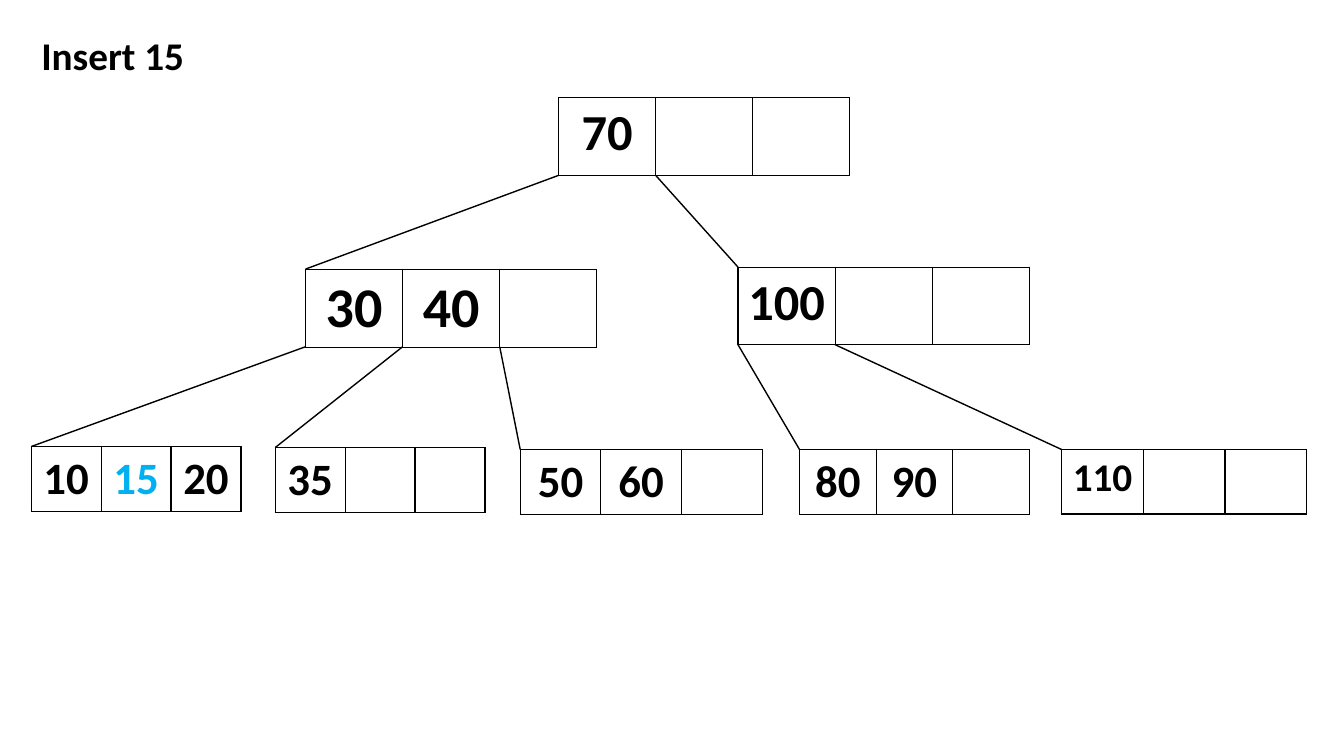
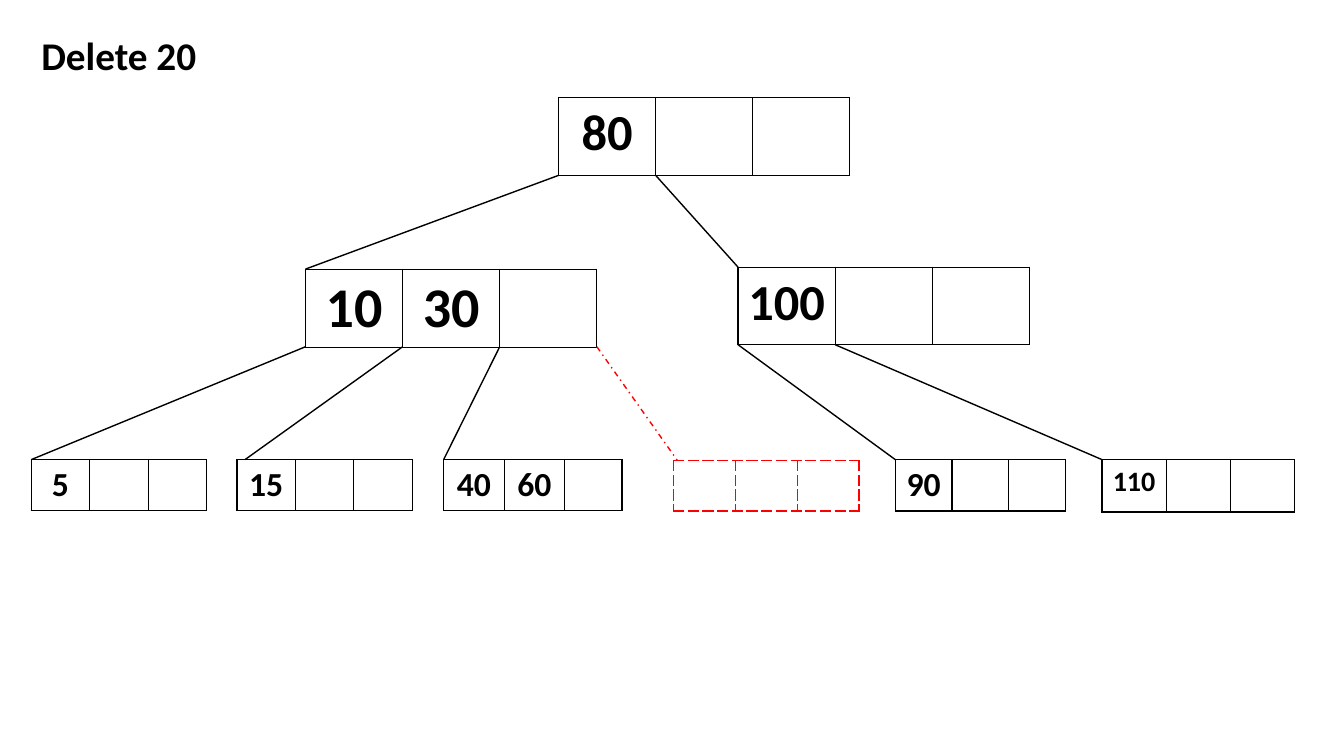
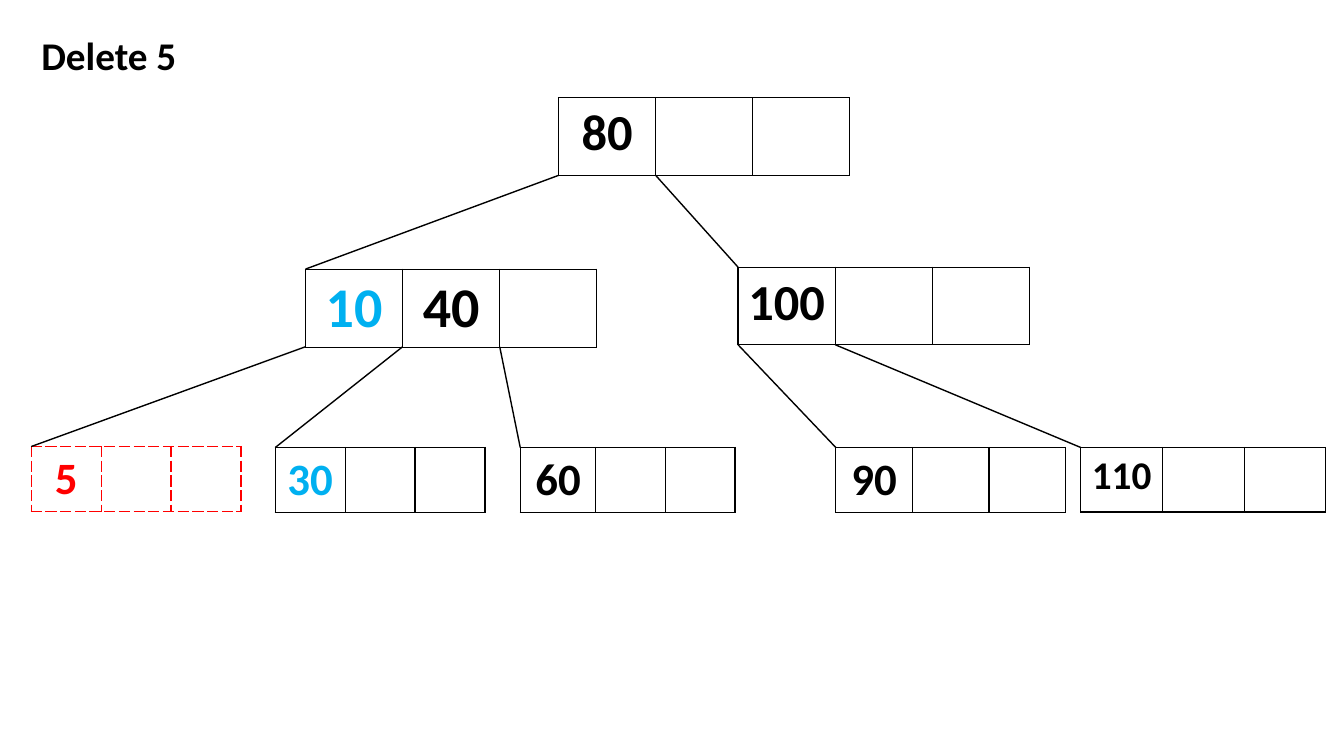
import dataclasses

import pptx
import pptx.dml.color
import pptx.enum.dml
import pptx.enum.shapes
import pptx.enum.text
import pptx.oxml
import pptx.oxml.ns
import pptx.util
from pptx.util import Inches

# Shared style
BLACK = pptx.dml.color.RGBColor(0x00, 0x00, 0x00)
WHITE = pptx.dml.color.RGBColor(0xFF, 0xFF, 0xFF)
BLUE = pptx.dml.color.RGBColor(0x00, 0xB0, 0xF0)
RED = pptx.dml.color.RGBColor(0xFF, 0x00, 0x00)
FONT = "Calibri"
LINE_WIDTH = pptx.util.Pt(1)
TITLE_BOX = (0.31, 0.26, 1.8, 0.57)
TITLE_ONLY_LAYOUT = 5
CELLS_PER_NODE = 3


@dataclasses.dataclass
class Node:
    """A tree node: a row of three key cells in a box given in inches."""
    left: float
    top: float
    width: float
    height: float
    keys: tuple = ()
    size: int = 32
    key_colors: dict = dataclasses.field(default_factory=dict)
    removed: bool = False
    columns: tuple = ()
    edge_shift: float = 0
    edge_dash: object = None
    children: tuple = ()

    def column_widths(self):
        return self.columns or (self.width / CELLS_PER_NODE,) * CELLS_PER_NODE


def write_text(frame, text, size, color=BLACK, align=pptx.enum.text.PP_ALIGN.CENTER):
    paragraph = frame.paragraphs[0]
    paragraph.alignment = align
    run = paragraph.add_run()
    run.text = text
    run.font.name = FONT
    run.font.size = pptx.util.Pt(size)
    run.font.bold = True
    run.font.color.rgb = color


def add_title(slide, text, box):
    title = slide.shapes.title
    title.left, title.top, title.width, title.height = map(Inches, box)
    frame = title.text_frame
    frame.auto_size = pptx.enum.text.MSO_AUTO_SIZE.NONE
    frame.word_wrap = True
    frame.vertical_anchor = pptx.enum.text.MSO_ANCHOR.TOP
    write_text(frame, text, 28, align=pptx.enum.text.PP_ALIGN.LEFT)


def set_borders(cell, color, dash):
    properties = cell._tc.get_or_add_tcPr()
    for side in ("lnL", "lnR", "lnT", "lnB"):
        properties.append(pptx.oxml.parse_xml(
            f'<a:{side} {pptx.oxml.ns.nsdecls("a")} w="{int(LINE_WIDTH)}">'
            f'<a:solidFill><a:srgbClr val="{color}"/></a:solidFill>'
            f'<a:prstDash val="{dash}"/></a:{side}>'))


def add_node(slide, node):
    box = map(Inches, (node.left, node.top, node.width, node.height))
    table = slide.shapes.add_table(1, CELLS_PER_NODE, *box).table
    table.first_row = table.horz_banding = False
    border = (RED, "lgDash") if node.removed else (BLACK, "solid")
    for index, width in enumerate(node.column_widths()):
        table.columns[index].width = Inches(width)
        cell = table.cell(0, index)
        set_borders(cell, *border)
        cell.fill.solid()
        cell.fill.fore_color.rgb = WHITE
        if index < len(node.keys):
            key = node.keys[index]
            write_text(cell.text_frame, key, node.size, node.key_colors.get(key, BLACK))


def add_edge(slide, parent, child, position):
    """Join the cell boundary at position to the child's top left corner."""
    start_x = parent.left + sum(parent.column_widths()[:position])
    points = (start_x, parent.top + parent.height, child.left + child.edge_shift, child.top)
    edge = slide.shapes.add_connector(
        pptx.enum.shapes.MSO_CONNECTOR.STRAIGHT, *map(Inches, points))
    edge.line.width = LINE_WIDTH
    edge.line.color.rgb = RED if child.edge_dash else BLACK
    if child.edge_dash:
        edge.line.dash_style = child.edge_dash
    edge._element.spPr.append(
        pptx.oxml.parse_xml(f'<a:effectLst {pptx.oxml.ns.nsdecls("a")}/>'))


def add_tree(slide, node):
    add_node(slide, node)
    for position, child in enumerate(node.children):
        add_tree(slide, child)
        add_edge(slide, node, child, position)


def build_tree(root_key, left_keys, left_leaves, right_leaves, left_colors=None):
    """Upper two levels keep their places on every slide."""
    left = Node(3.03, 2.67, 2.89, 0.77, left_keys, 40, left_colors or {},
                children=left_leaves)
    right = Node(7.32, 2.65, 2.89, 0.77, ("100",), 36, children=right_leaves)
    return Node(5.54, 0.97, 2.89, 0.77, (root_key,), 36, children=(left, right))


def add_tree_slide(presentation, title, tree):
    slide = presentation.slides.add_slide(presentation.slide_layouts[TITLE_ONLY_LAYOUT])
    add_title(slide, title, TITLE_BOX)
    add_tree(slide, tree)


def main():
    presentation = pptx.Presentation()
    presentation.slide_width = Inches(13.33)
    presentation.slide_height = Inches(7.5)

    # Insertion into a leaf
    add_tree_slide(presentation, "Insert 15", build_tree(
        "70", ("30", "40"),
        (Node(0.31, 4.43, 2.08, 0.64, ("10", "15", "20"), key_colors={"15": BLUE}),
         Node(2.73, 4.44, 2.08, 0.64, ("35",)),
         Node(5.16, 4.46, 2.4, 0.64, ("50", "60"))),
        (Node(7.93, 4.46, 2.28, 0.64, ("80", "90")),
         Node(10.53, 4.46, 2.43, 0.64, ("110",), 28))))

    # Deletion that removes a leaf
    add_tree_slide(presentation, "Delete 20", build_tree(
        "80", ("10", "30"),
        (Node(0.31, 4.56, 1.74, 0.5, ("5",), 24),
         Node(2.35, 4.56, 1.74, 0.5, ("15",), 24, edge_shift=0.08),
         Node(4.4, 4.56, 1.77, 0.5, ("40", "60"), 24, columns=(0.6, 0.6, 0.57)),
         Node(6.68, 4.57, 1.84, 0.5, removed=True, edge_shift=0.04,
              edge_dash=pptx.enum.dml.MSO_LINE.DASH_DOT)),
        (Node(8.88, 4.56, 1.69, 0.51, ("90",), 24),
         Node(10.93, 4.56, 1.91, 0.52, ("110",), 20))))

    # Deletion that borrows a key from a sibling
    add_tree_slide(presentation, "Delete 5", build_tree(
        "80", ("10", "40"),
        (Node(0.31, 4.43, 2.08, 0.64, ("5",), key_colors={"5": RED}, removed=True),
         Node(2.73, 4.44, 2.08, 0.64, ("30",), key_colors={"30": BLUE}),
         Node(5.16, 4.44, 2.13, 0.64, ("60",), columns=(0.75, 0.69, 0.69))),
        (Node(8.29, 4.44, 2.28, 0.64, ("90",)),
         Node(10.72, 4.44, 2.43, 0.64, ("110",), 28)),
        left_colors={"10": BLUE}))

    presentation.save("out.pptx")


if __name__ == "__main__":
    main()
